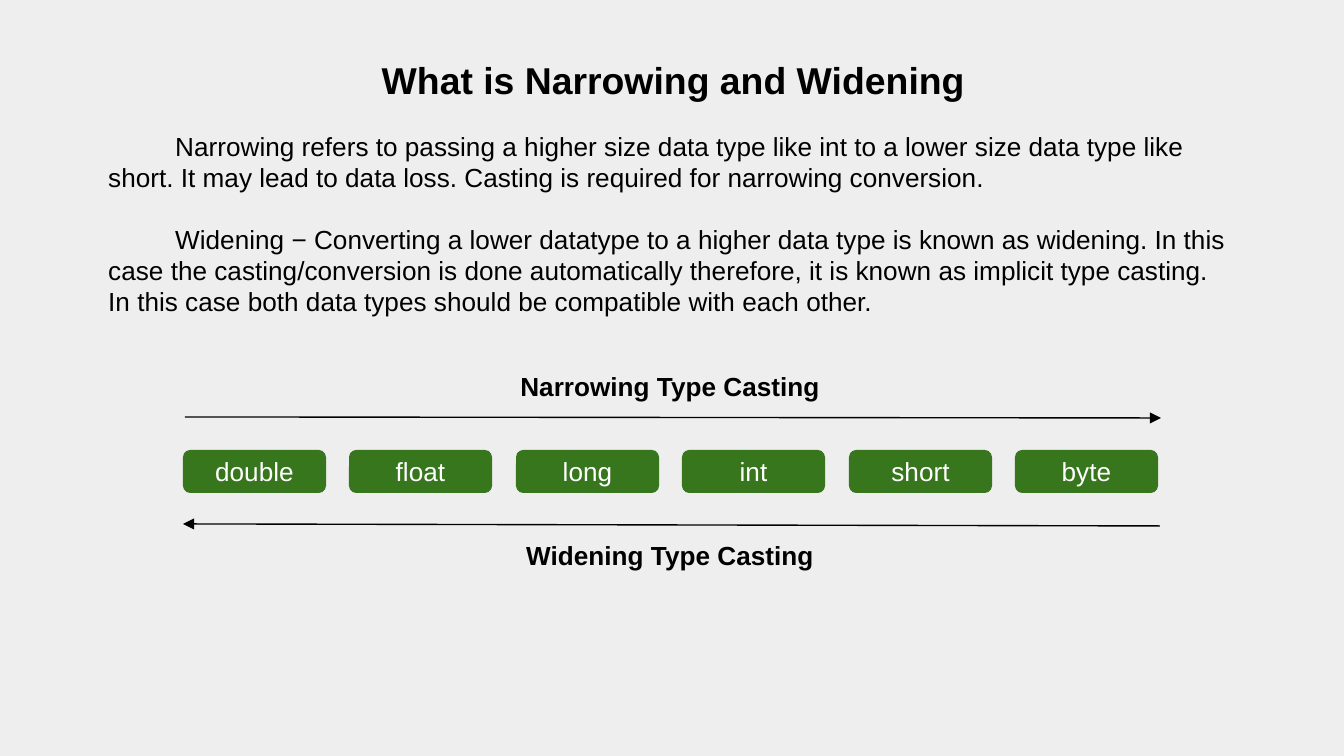
import pptx
import pptx.dml.color
import pptx.enum.shapes
import pptx.enum.text
import pptx.oxml.ns
import pptx.util
import lxml.etree

EMU_PER_PX = 914400 / 134.4
BACKGROUND = pptx.dml.color.RGBColor(0xEE, 0xEE, 0xEE)
BLACK = pptx.dml.color.RGBColor(0x00, 0x00, 0x00)
WHITE = pptx.dml.color.RGBColor(0xFF, 0xFF, 0xFF)
GREEN = pptx.dml.color.RGBColor(0x38, 0x76, 0x1D)
CENTER = pptx.enum.text.PP_ALIGN.CENTER
LEFT = pptx.enum.text.PP_ALIGN.LEFT

TYPES = ["double", "float", "long", "int", "short", "byte"]
FIRST_TYPE_LEFT, LAST_TYPE_LEFT = 183, 1015
DEFINITIONS = [
    "Narrowing refers to passing a higher size data type like int to a lower size data type "
    "like short. It may lead to data loss. Casting is required for narrowing conversion.",
    "Widening − Converting a lower datatype to a higher data type is known as widening. "
    "In this case the casting/conversion is done automatically therefore, it is known as "
    "implicit type casting. In this case both data types should be compatible with each other.",
]


def px(*lengths):
    return [pptx.util.Emu(round(length * EMU_PER_PX)) for length in lengths]


def write_text(frame, paragraphs, size=14, color=BLACK, bold=False, align=CENTER,
               indent=0, gap=0, anchor=pptx.enum.text.MSO_ANCHOR.TOP):
    frame.word_wrap = True
    frame.vertical_anchor = anchor
    frame.margin_left = frame.margin_right = pptx.util.Inches(0.1)
    frame.margin_top = frame.margin_bottom = pptx.util.Inches(0.1)
    for index, text in enumerate(paragraphs):
        paragraph = frame.add_paragraph() if index else frame.paragraphs[0]
        paragraph.alignment = align
        paragraph.space_before = pptx.util.Pt(gap if index else 0)
        if indent:
            properties = paragraph._p.get_or_add_pPr()
            properties.set("marL", "0")
            properties.set("indent", str(px(indent)[0]))
        run = paragraph.add_run()
        run.text = text
        run.font.name = "Arial"
        run.font.size = pptx.util.Pt(size)
        run.font.bold = bold
        run.font.color.rgb = color


class SlideBuilder:
    def __init__(self, slide):
        self.slide = slide
        slide.background.fill.solid()
        slide.background.fill.fore_color.rgb = BACKGROUND

    def text(self, paragraphs, left, top, width, height, **text_format):
        shape = self.slide.shapes.add_textbox(*px(left, top, width, height))
        write_text(shape.text_frame, paragraphs, **text_format)

    def type_box(self, name, left, top, width, height):
        shape = self.slide.shapes.add_shape(
            pptx.enum.shapes.MSO_SHAPE.ROUNDED_RECTANGLE, *px(left, top, width, height))
        shape.shadow.inherit = False
        shape.fill.solid()
        shape.fill.fore_color.rgb = GREEN
        shape.line.fill.background()
        write_text(shape.text_frame, [name], color=WHITE,
                   anchor=pptx.enum.text.MSO_ANCHOR.MIDDLE)

    def arrow(self, start_x, start_y, end_x, end_y):
        connector = self.slide.shapes.add_connector(
            pptx.enum.shapes.MSO_CONNECTOR.STRAIGHT, *px(start_x, start_y, end_x, end_y))
        connector.line.color.rgb = BLACK
        connector.line.width = pptx.util.Pt(0.75)
        qualified = pptx.oxml.ns.qn
        lxml.etree.SubElement(connector.line._get_or_add_ln(), qualified("a:tailEnd"),
                              type="triangle", w="med", len="med")
        lxml.etree.SubElement(connector._element.spPr, qualified("a:effectLst"))


def main():
    presentation = pptx.Presentation()
    presentation.slide_width, presentation.slide_height = px(1344, 756)
    builder = SlideBuilder(presentation.slides.add_slide(presentation.slide_layouts[6]))

    builder.text(["What is Narrowing and Widening"], 44, 44, 1259, 73, size=20, bold=True)
    builder.text(DEFINITIONS, 95, 117, 1154, 218, align=LEFT, indent=67, gap=16)

    for index, name in enumerate(TYPES):
        offset = round(index * (LAST_TYPE_LEFT - FIRST_TYPE_LEFT) / (len(TYPES) - 1))
        builder.type_box(name, FIRST_TYPE_LEFT + offset, 450, 143, 43)

    builder.arrow(185, 417, 1161, 418)
    builder.arrow(1160, 526, 183, 524)
    builder.text(["Narrowing Type Casting"], 349, 357, 642, 59, bold=True)
    builder.text(["Widening Type Casting"], 349, 526, 642, 59, bold=True)

    presentation.save("out.pptx")


if __name__ == "__main__":
    main()
